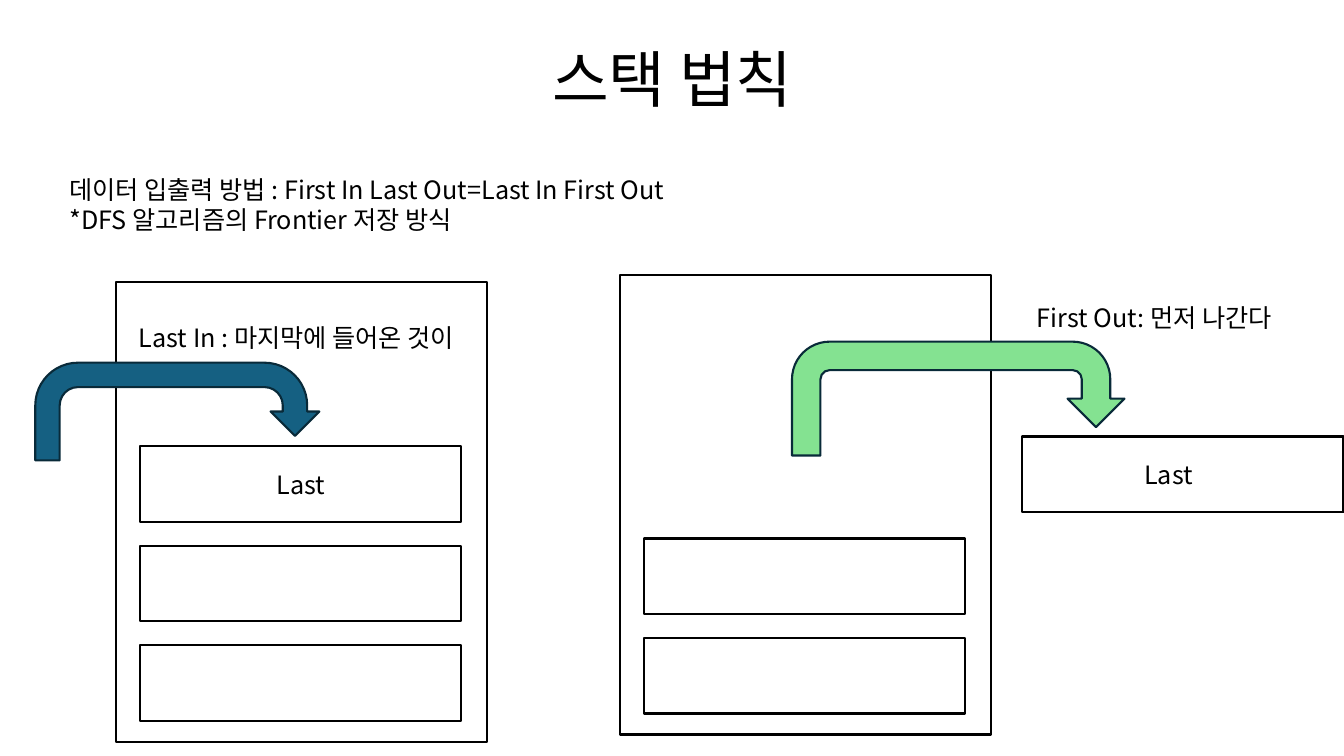
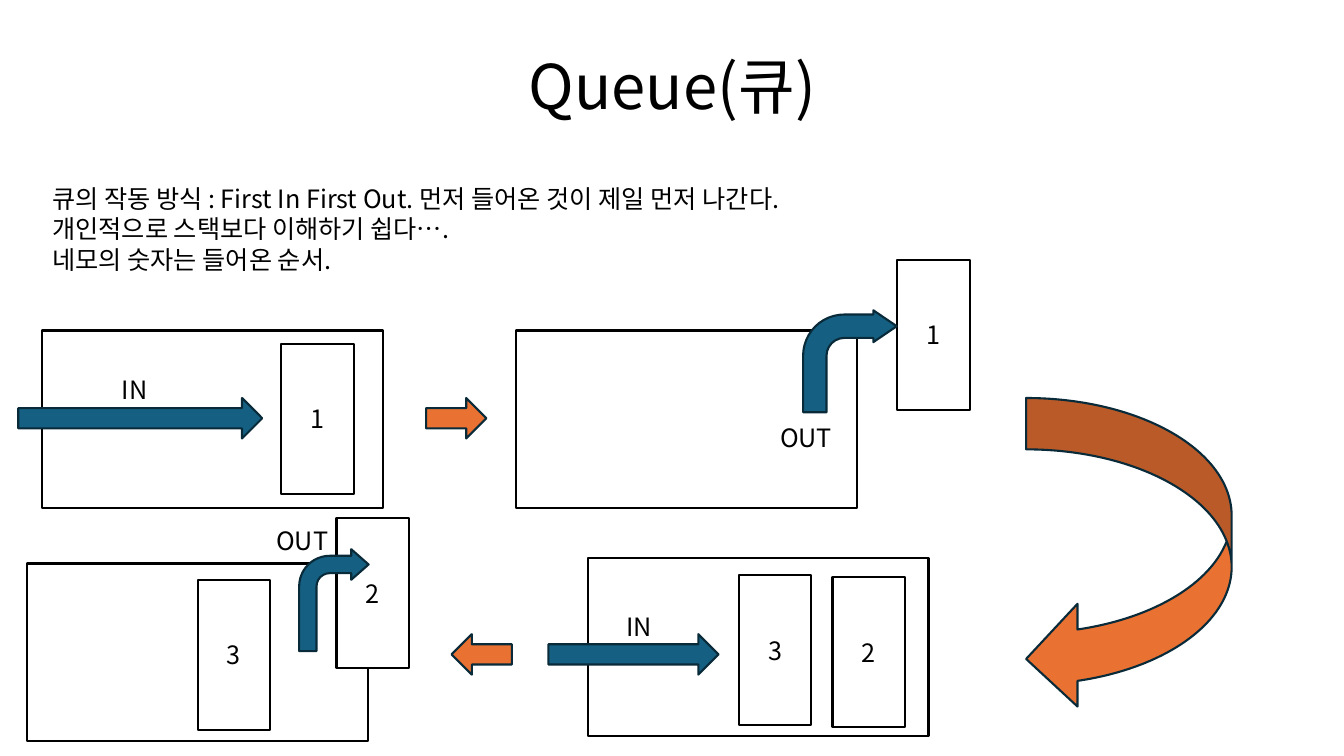
from pptx import Presentation
from pptx.dml.color import RGBColor
from pptx.enum.shapes import MSO_SHAPE
from pptx.enum.text import MSO_ANCHOR, PP_ALIGN
from pptx.oxml.ns import qn
from pptx.util import Cm, Pt
from lxml import etree

RECT = MSO_SHAPE.RECTANGLE
RIGHT = MSO_SHAPE.RIGHT_ARROW
UTURN = MSO_SHAPE.U_TURN_ARROW
BENT = MSO_SHAPE.BENT_ARROW
CURVED = MSO_SHAPE.CURVED_LEFT_ARROW
MIDDLE = MSO_ANCHOR.MIDDLE
TOP = MSO_ANCHOR.TOP
CENTER = PP_ALIGN.CENTER
LEFT = PP_ALIGN.LEFT

BLACK = RGBColor(0x00, 0x00, 0x00)
WHITE = RGBColor(0xFF, 0xFF, 0xFF)
BLUE = RGBColor(0x15, 0x60, 0x82)
GREEN = RGBColor(0x84, 0xE2, 0x91)
ORANGE = RGBColor(0xE9, 0x71, 0x32)
NAVY = RGBColor(0x09, 0x2A, 0x39)
FONT = "Noto Sans CJK KR"

STACK_SIZE = (9.35, 11.58)
SLOT_SIZE = (8.1, 1.91)
SLOT_LEFT, SLOT_BOTTOM, SLOT_PITCH = 0.61, 9.14, 2.5
QUEUE_SIZE = (8.59, 4.47)
CARD_SIZE = (1.83, 3.78)
LABEL_HEIGHT = 1.02

STACK = {
    "title": ("스택 법칙", 0.23),
    "notes": (1.5, 4.27, [
        "데이터 입출력 방법 : First In Last Out=Last In First Out",
        "*DFS 알고리즘의 Frontier 저장 방식",
    ]),
    "stacks": [(2.92, 7.11, ["", "", "Last"]), (15.62, 6.93, ["", ""])],
    "popped": (25.76, 11.0, "Last", 0.97),
    "arrows": [
        (UTURN, 0.89, 9.14, 7.16, 2.46, BLUE, (), 0),
        (UTURN, 19.96, 8.61, 8.38, 2.87, GREEN, (0.25, 0.25, 0.25, 0.33, 0.75), 0),
    ],
    "labels": [
        (3.25, 8.0, 9.8, "Last In : 마지막에 들어온 것이"),
        (25.88, 7.49, 6.88, "First Out: 먼저 나간다"),
    ],
}

QUEUE = {
    "title": ("Queue(큐)", 0.41),
    "notes": (1.07, 4.5, [
        "큐의 작동 방식 : First In First Out. 먼저 들어온 것이 제일 먼저 나간다.",
        "개인적으로 스택보다 이해하기 쉽다….",
        "네모의 숫자는 들어온 순서.",
    ]),
    "queues": [(1.07, 8.33), (13.0, 8.33), (14.81, 14.07), (0.69, 14.2)],
    "cards": [
        (7.09, 8.66, "1"), (22.61, 6.55, "1"), (20.98, 14.55, "2"),
        (18.62, 14.5, "3"), (4.98, 14.61, "3"), (8.48, 13.06, "2"),
    ],
    "arrows": [
        (RIGHT, 0.46, 10.03, 6.15, 1.02, BLUE, (), 0),
        (RIGHT, 10.74, 10.03, 1.52, 1.02, ORANGE, (), 0),
        (BENT, 20.24, 7.82, 2.36, 2.57, BLUE, (0.25, 0.17, 0.25, 0.44), 0),
        (CURVED, 25.86, 10.03, 5.18, 7.87, ORANGE, (), 0),
        (RIGHT, 13.82, 15.98, 4.29, 1.02, BLUE, (), 0),
        (RIGHT, 11.38, 15.98, 1.52, 1.02, ORANGE, (), 180),
        (BENT, 7.54, 13.84, 1.75, 2.57, BLUE, (0.25, 0.22, 0.25, 0.44), 0),
    ],
    "labels": [
        (2.82, 9.3, 2.2, "IN"), (19.41, 10.52, 2.03, "OUT"),
        (15.54, 15.29, 2.2, "IN"), (6.71, 13.11, 2.03, "OUT"),
    ],
}


def write(sp, lines, size=18, align=LEFT, anchor=TOP, spacing=1.0):
    tf = sp.text_frame
    tf.word_wrap = True
    tf.vertical_anchor = anchor
    tf.text = "\n".join(lines)
    for p in tf.paragraphs:
        p.alignment = align
        p.line_spacing = spacing
        p.font.name = FONT
        p.font.size = Pt(size)
        p.font.color.rgb = BLACK
        props = p._p.pPr.find(qn("a:defRPr"))
        etree.SubElement(props, qn("a:ea")).set("typeface", FONT)


def add_text(s, x, y, w, h, lines, **style):
    write(s.shapes.add_textbox(Cm(x), Cm(y), Cm(w), Cm(h)), lines, **style)


def add_shape(s, kind, x, y, w, h, fill, line):
    sp = s.shapes.add_shape(kind, Cm(x), Cm(y), Cm(w), Cm(h))
    sp.shadow.inherit = False
    sp.fill.solid()
    sp.fill.fore_color.rgb = fill
    sp.line.color.rgb = line
    sp.line.width = Pt(1.5)
    return sp


def add_box(s, x, y, size, text="", inset_right=0.25):
    sp = add_shape(s, RECT, x, y, *size, WHITE, BLACK)
    if text:
        sp.text_frame.margin_right = Cm(inset_right)
        write(sp, [text], align=CENTER, anchor=MIDDLE)


def add_stack(s, x, y, slots):
    add_box(s, x, y, STACK_SIZE)
    for i, text in enumerate(slots):
        add_box(s, x + SLOT_LEFT, y + SLOT_BOTTOM - i * SLOT_PITCH, SLOT_SIZE, text)


def add_header(prs, content):
    s = prs.slides.add_slide(prs.slide_layouts[6])
    title, y = content["title"]
    add_text(s, 2.34, y, 29.21, 3.68, [title], size=44, align=CENTER,
             anchor=MIDDLE, spacing=0.9)
    x, y, lines = content["notes"]
    add_text(s, x, y, 30.86, 2.57, lines)
    return s


def add_flow(s, content):
    for kind, x, y, w, h, fill, adjustments, rotation in content["arrows"]:
        sp = add_shape(s, kind, x, y, w, h, fill, NAVY)
        sp.rotation = rotation
        for i, value in enumerate(adjustments):
            sp.adjustments[i] = value
    for x, y, w, text in content["labels"]:
        add_text(s, x, y, w, LABEL_HEIGHT, [text])


def main():
    prs = Presentation()
    prs.slide_width, prs.slide_height = Cm(33.87), Cm(19.05)

    s = add_header(prs, STACK)
    for stack in STACK["stacks"]:
        add_stack(s, *stack)
    x, y, text, inset_right = STACK["popped"]
    add_box(s, x, y, SLOT_SIZE, text, inset_right)
    add_flow(s, STACK)

    s = add_header(prs, QUEUE)
    for x, y in QUEUE["queues"]:
        add_box(s, x, y, QUEUE_SIZE)
    for x, y, text in QUEUE["cards"]:
        add_box(s, x, y, CARD_SIZE, text)
    add_flow(s, QUEUE)

    prs.save("out.pptx")


if __name__ == "__main__":
    main()
